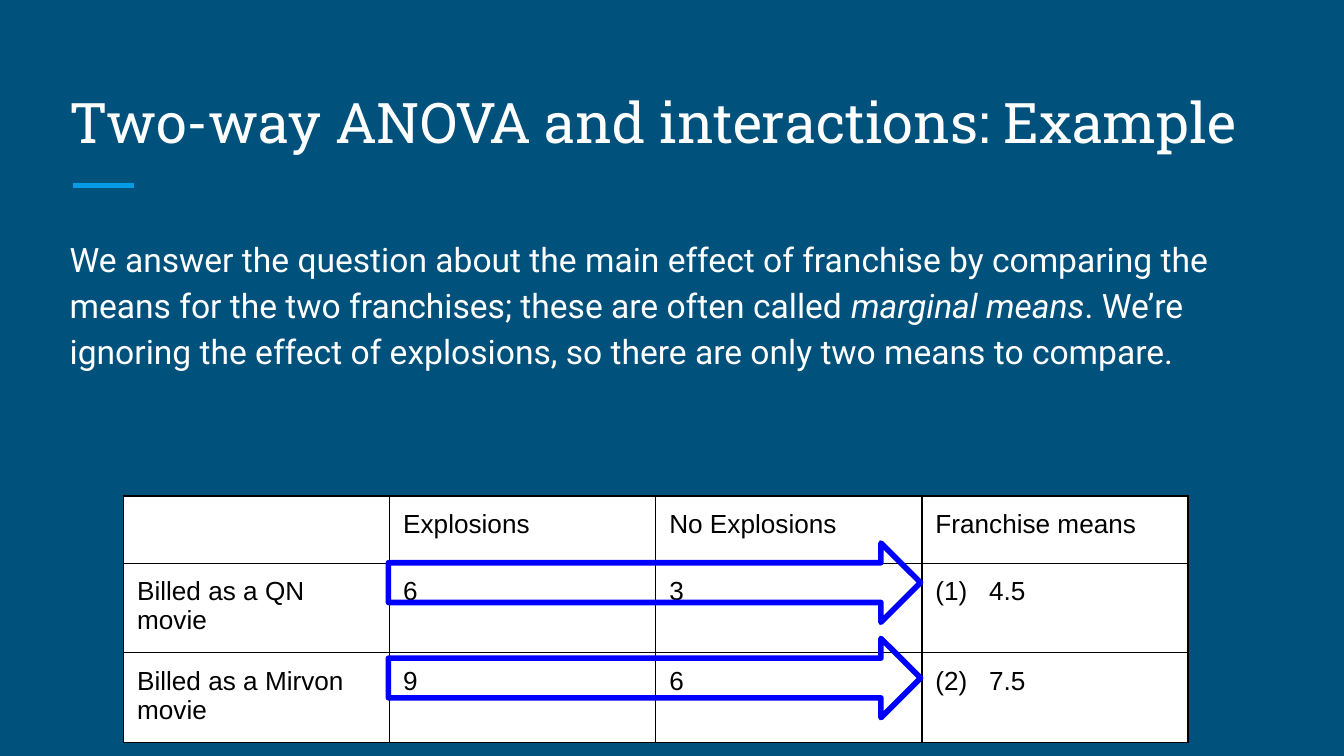
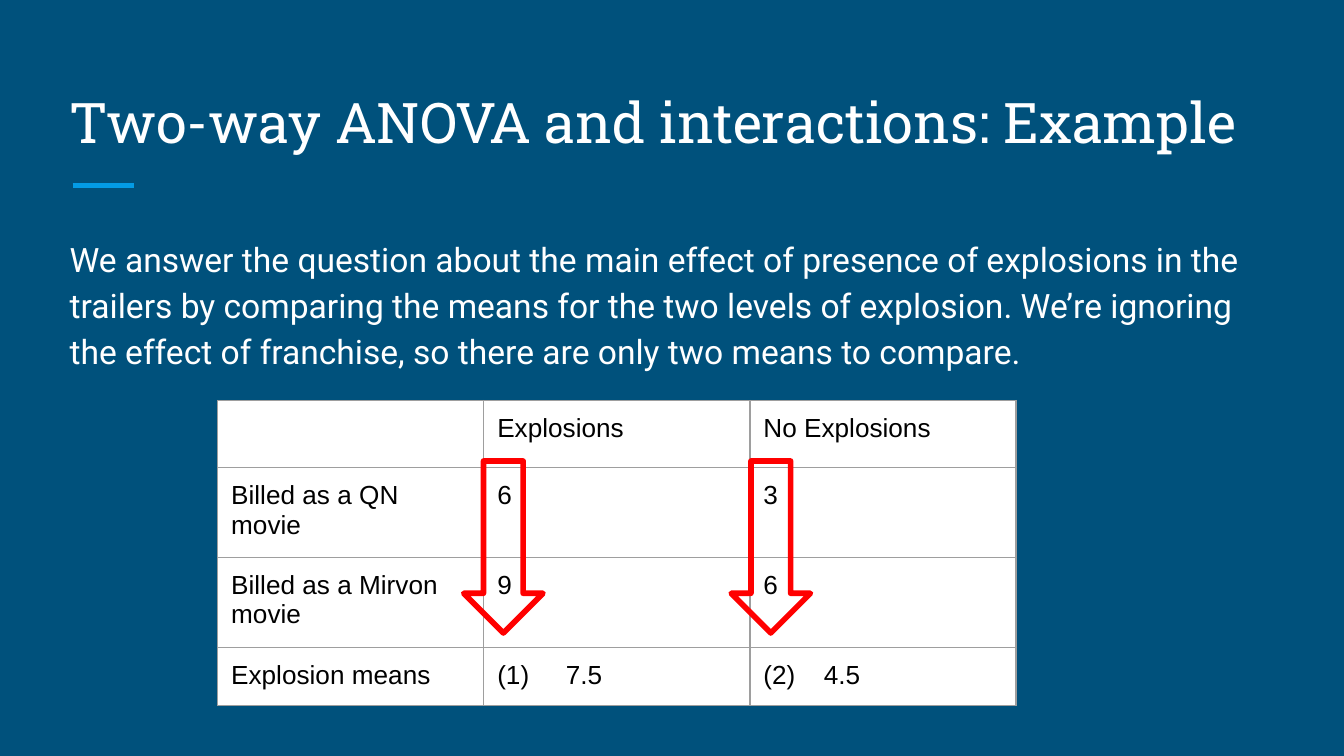
from lxml import etree
from pptx import Presentation
from pptx import util as u
from pptx.dml.color import RGBColor
from pptx.enum import shapes, text
from pptx.oxml import ns

COLORS = {
    "background": "00517C",
    "accent": "039BE5",
    "light": "FFFFFF",
    "dark": "000000",
    "grid": "9E9E9E",
    "franchise": "0000FF",
    "explosion": "FF0000",
}
TITLE = "Two-way ANOVA and interactions: Example"
MARGIN = 0.42
CONTENT_WIDTH = 9.15
COLUMN_WIDTH = 1.98
ROW_HEIGHT = 0.42
ARROW_BREADTH = 0.59
HEADER = ["", "Explosions", "No Explosions"]
FRANCHISES = [
    ["Billed as a QN movie", "6", "3"],
    ["Billed as a Mirvon movie", "9", "6"],
]


def color(name):
    return RGBColor.from_string(COLORS[name])


def inches(*lengths):
    return [u.Inches(length) for length in lengths]


def write(frame, *parts, font="Arial", size=14, ink="dark", anchor=text.MSO_ANCHOR.TOP,
          spacing=None, after=None, tab=None):
    frame.word_wrap = True
    frame.vertical_anchor = anchor
    paragraph = frame.paragraphs[0]
    paragraph.alignment = text.PP_ALIGN.LEFT
    if spacing:
        paragraph.line_spacing = spacing
    if after:
        paragraph.space_after = u.Pt(after)
    if tab:
        properties = paragraph._p.get_or_add_pPr()
        stops = etree.SubElement(properties, ns.qn("a:tabLst"))
        etree.SubElement(stops, ns.qn("a:tab"), pos=str(u.Inches(tab)), algn="l")
    for part in parts:
        words, italic = part if isinstance(part, tuple) else (part, False)
        run = paragraph.add_run()
        run.text = words
        run.font.name = font
        run.font.size = u.Pt(size)
        run.font.italic = italic
        run.font.color.rgb = color(ink)


def set_insets(holder):
    for side in ("left", "top", "right", "bottom"):
        setattr(holder, f"margin_{side}", u.Inches(0.1))


def add_title_rule(slide):
    rule = slide.shapes.add_connector(
        shapes.MSO_CONNECTOR.STRAIGHT, *inches(0.54, 1.38, 1, 1.38))
    rule.line.color.rgb = color("accent")
    rule.line.width = u.Pt(3)
    etree.SubElement(rule._element.spPr, ns.qn("a:effectLst"))


def add_example_slide(deck, *explanation):
    slide = deck.slides.add_slide(deck.slide_layouts[5])
    slide.background.fill.solid()
    slide.background.fill.fore_color.rgb = color("background")
    add_title_rule(slide)
    title = slide.shapes.title
    title.left, title.top, title.width, title.height = inches(MARGIN, 0.5, CONTENT_WIDTH, 0.75)
    title.text_frame.auto_size = text.MSO_AUTO_SIZE.NONE
    set_insets(title.text_frame)
    write(title.text_frame, TITLE, font="Roboto Slab", size=30, ink="light",
          anchor=text.MSO_ANCHOR.BOTTOM)
    body = slide.shapes.add_textbox(*inches(MARGIN, 1.63, CONTENT_WIDTH, 3.37))
    set_insets(body.text_frame)
    write(body.text_frame, *explanation, font="Roboto", size=18, ink="light",
          spacing=1.15, after=16)
    return slide


def add_borders(cell, line_color):
    properties = cell._tc.get_or_add_tcPr()
    for side in ("lnL", "lnR", "lnT", "lnB"):
        border = etree.SubElement(properties, ns.qn(f"a:{side}"), w=str(u.Pt(0.75)))
        fill = etree.SubElement(border, ns.qn("a:solidFill"))
        etree.SubElement(fill, ns.qn("a:srgbClr"), val=COLORS[line_color])


def size_empty_cell(cell):
    paragraph = cell.text_frame.paragraphs[0]._p
    ending = etree.SubElement(paragraph, ns.qn("a:endParaRPr"), sz="1800")
    etree.SubElement(ending, ns.qn("a:latin"), typeface="Arial")


def add_means_table(slide, left, top, rows, line_color, tabs):
    columns = len(rows[0])
    table = slide.shapes.add_table(
        len(rows), columns,
        *inches(left, top, COLUMN_WIDTH * columns, ROW_HEIGHT * len(rows))).table
    table.first_row = table.horz_banding = False
    for column in table.columns:
        column.width = u.Inches(COLUMN_WIDTH)
    for row in table.rows:
        row.height = u.Inches(ROW_HEIGHT)
    for cell, words in zip(table.iter_cells(), sum(rows, [])):
        add_borders(cell, line_color)
        cell.fill.solid()
        cell.fill.fore_color.rgb = color("light")
        set_insets(cell)
        if words:
            write(cell.text_frame, words, tab=tabs.get(words))
        else:
            size_empty_cell(cell)


def add_arrow(slide, preset, left, top, width, height, line_color):
    arrow = slide.shapes.add_shape(preset, *inches(left, top, width, height))
    arrow.shadow.inherit = False
    arrow.fill.background()
    arrow.line.color.rgb = color(line_color)
    arrow.line.width = u.Pt(3)


def add_franchise_slide(deck):
    slide = add_example_slide(
        deck,
        "We answer the question about the main effect of franchise by comparing the means "
        "for the two franchises; these are often called ",
        ("marginal means", True),
        ". We’re ignoring the effect of explosions, so there are only two means to compare.")
    means = ["Franchise means", "(1)\t4.5", "(2)\t7.5"]
    rows = [row + [mean] for row, mean in zip([HEADER] + FRANCHISES, means)]
    add_means_table(slide, 0.92, 3.69, rows, "dark", dict.fromkeys(means[1:], 0.4))
    for top in (4.04, 4.75):
        add_arrow(slide, shapes.MSO_SHAPE.RIGHT_ARROW, 2.89, top, 2 * COLUMN_WIDTH,
                  ARROW_BREADTH, "franchise")


def add_explosion_slide(deck):
    slide = add_example_slide(
        deck,
        "We answer the question about the main effect of presence of explosions in the "
        "trailers by comparing the means for the two levels of explosion. We’re ignoring "
        "the effect of franchise, so there are only two means to compare.")
    means = ["Explosion means", "(1)\t7.5", "(2)\t4.5"]
    tabs = dict(zip(means[1:], (0.51, 0.45)))
    add_means_table(slide, 1.62, 2.98, [HEADER] + FRANCHISES + [means], "grid", tabs)
    for left in (3.45, 5.44):
        add_arrow(slide, shapes.MSO_SHAPE.DOWN_ARROW, left, 3.43, ARROW_BREADTH, 1.28,
                  "explosion")


def main():
    deck = Presentation()
    deck.slide_width = u.Inches(10)
    deck.slide_height = deck.slide_width * 9 // 16
    add_franchise_slide(deck)
    add_explosion_slide(deck)
    deck.save("out.pptx")


if __name__ == "__main__":
    main()
